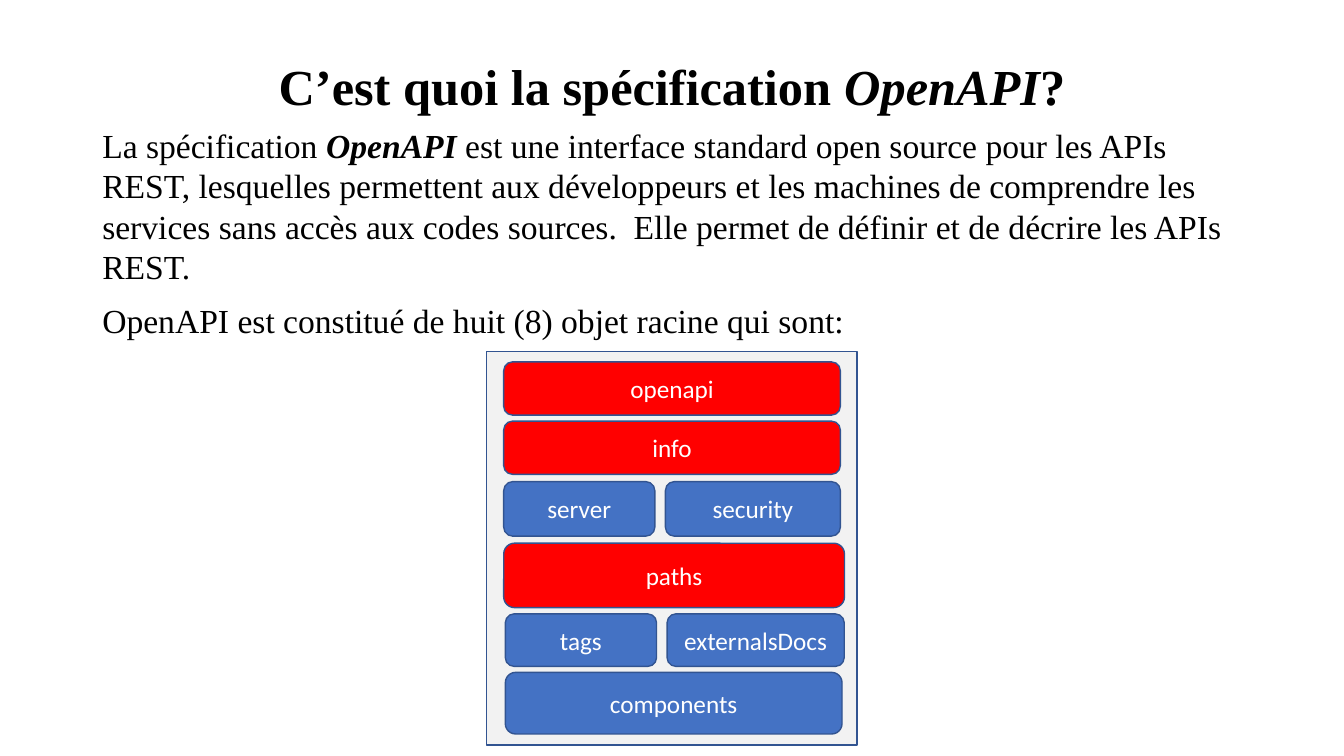
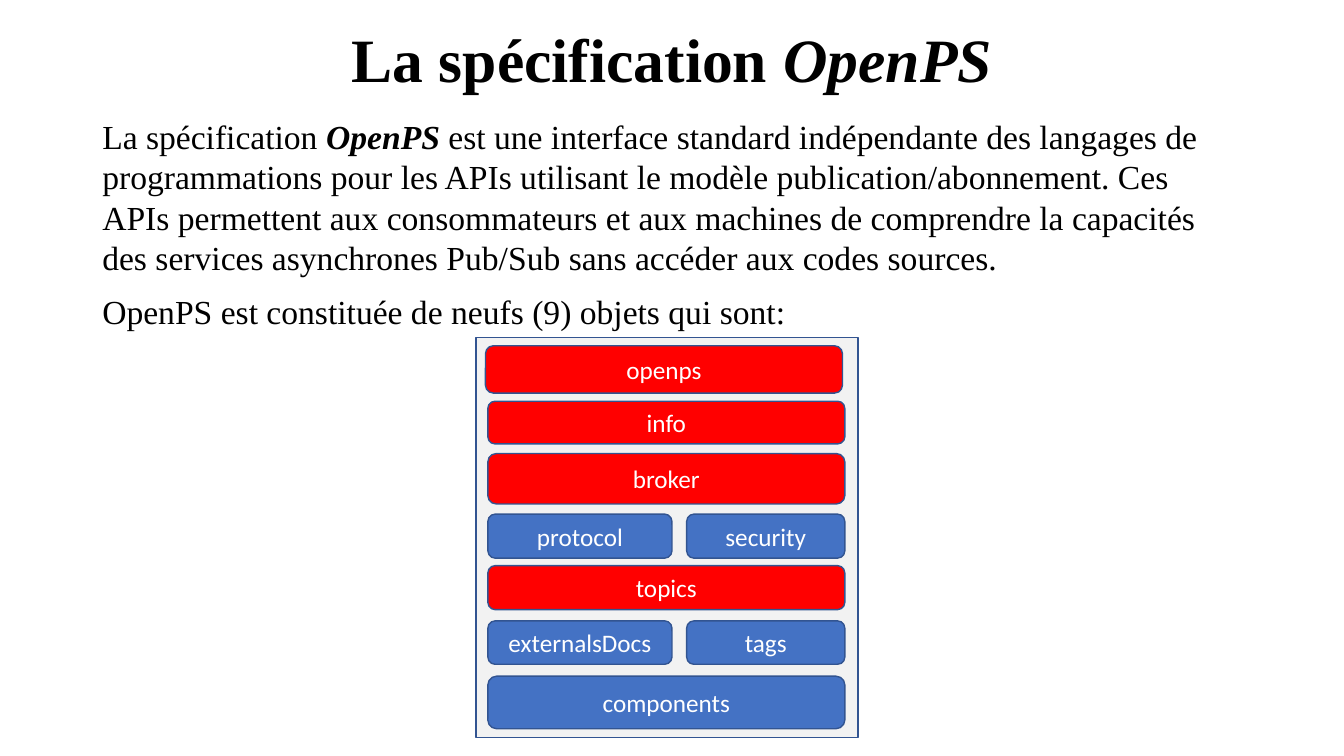
from dataclasses import dataclass
from typing import Optional

from pptx import Presentation
from pptx.dml import color
from pptx.enum import shapes, text
from pptx.util import Pt

COLOURS = {
    "ink": "000000",
    "label": "FFFFFF",
    "panel": "F2F2F2",
    "outline": "325491",
    "required": "FF0000",
    "optional": "4472C4",
}
SERIF, SANS = "Times New Roman", "Calibri"
MARGIN, CONTENT_WIDTH = 66, 828


@dataclass(frozen=True)
class Box:
    left: float
    top: float
    width: float
    height: float

    def lengths(self) -> tuple:
        return Pt(self.left), Pt(self.top), Pt(self.width), Pt(self.height)


@dataclass(frozen=True)
class Span:
    words: str
    emphasised: bool = False


@dataclass(frozen=True)
class Row:
    top: float
    height: float
    labels: tuple
    role: str = "optional"
    left: Optional[float] = None
    width: Optional[float] = None


@dataclass(frozen=True)
class Diagram:
    panel: Box
    left: float
    width: float
    first_width: float
    gap: float
    rows: tuple


@dataclass(frozen=True)
class Page:
    title: tuple
    title_box: Box
    title_size: int
    body: tuple
    body_box: Box
    diagram: Diagram


def rgb(name: str) -> color.RGBColor:
    return color.RGBColor.from_string(COLOURS[name])


def format_run(run, size: float, font: str, colour: str) -> None:
    run.font.size = Pt(size)
    run.font.name = font
    run.font.color.rgb = rgb(colour)


def write_spans(paragraph, spans: tuple, size: float, bold: bool = False) -> None:
    for span in spans:
        run = paragraph.add_run()
        run.text = span.words
        format_run(run, size, SERIF, "ink")
        run.font.bold = bold or span.emphasised
        run.font.italic = span.emphasised


def draw_title(slide, page: Page) -> None:
    title = slide.shapes.title
    title.left, title.top, title.width, title.height = page.title_box.lengths()
    frame = title.text_frame
    frame.auto_size = text.MSO_AUTO_SIZE.NONE
    frame.vertical_anchor = text.MSO_ANCHOR.MIDDLE
    paragraph = frame.paragraphs[0]
    paragraph.alignment = text.PP_ALIGN.CENTER
    paragraph.line_spacing = 0.9
    write_spans(paragraph, page.title, page.title_size, bold=True)


def draw_body(slide, page: Page) -> None:
    frame = slide.shapes.add_textbox(*page.body_box.lengths()).text_frame
    frame.word_wrap = True
    for index, spans in enumerate(page.body):
        paragraph = frame.add_paragraph() if index else frame.paragraphs[0]
        paragraph.space_before = Pt(10)
        paragraph.line_spacing = 1.0
        write_spans(paragraph, spans, 24)


def draw_block(slide, kind, box: Box, fill: str, label: str = "") -> None:
    shape = slide.shapes.add_shape(kind, *box.lengths())
    shape.shadow.inherit = False
    shape.fill.solid()
    shape.fill.fore_color.rgb = rgb(fill)
    shape.line.color.rgb = rgb("outline")
    shape.line.width = Pt(1)
    if label:
        frame = shape.text_frame
        frame.text = label
        frame.vertical_anchor = text.MSO_ANCHOR.MIDDLE
        paragraph = frame.paragraphs[0]
        paragraph.alignment = text.PP_ALIGN.CENTER
        format_run(paragraph.runs[0], 18, SANS, "label")


def draw_diagram(slide, diagram: Diagram) -> None:
    draw_block(slide, shapes.MSO_SHAPE.RECTANGLE, diagram.panel, "panel")
    for row in diagram.rows:
        left = row.left or diagram.left
        width = row.width or diagram.width
        widths = [width]
        if len(row.labels) == 2:
            first = diagram.first_width
            widths = [first, width - first - diagram.gap]
        for label, block_width in zip(row.labels, widths):
            box = Box(left, row.top, block_width, row.height)
            draw_block(slide, shapes.MSO_SHAPE.ROUNDED_RECTANGLE, box, row.role, label)
            left += block_width + diagram.gap


def draw_page(presentation, page: Page) -> None:
    slide = presentation.slides.add_slide(presentation.slide_layouts[5])
    draw_title(slide, page)
    draw_body(slide, page)
    draw_diagram(slide, page.diagram)


OPENAPI = Page(
    title=(Span("C’est quoi la spécification "), Span("OpenAPI", True), Span("?")),
    title_box=Box(MARGIN, 29.3, CONTENT_WIDTH, 69),
    title_size=36,
    body=(
        (
            Span("La spécification "),
            Span("OpenAPI", True),
            Span(
                " est une interface standard open source pour les APIs REST, "
                "lesquelles permettent aux développeurs et les machines de "
                "comprendre les services sans accès aux codes sources.  Elle "
                "permet de définir et de décrire les APIs REST."
            ),
        ),
        (Span("OpenAPI est constitué de huit (8) objet racine qui sont:"),),
    ),
    body_box=Box(MARGIN, 85.7, CONTENT_WIDTH, 454),
    diagram=Diagram(
        panel=Box(347.6, 251.3, 264.5, 280.8),
        left=359.8,
        width=240.5,
        first_width=108,
        gap=7.5,
        rows=(
            Row(258.5, 38, ("openapi",), "required"),
            Row(300.8, 38, ("info",), "required"),
            Row(344, 39, ("server", "security")),
            Row(388, 46, ("paths",), "required", width=243.4),
            Row(438.5, 37.5, ("tags", "externalsDocs"), left=361, width=242),
            Row(480.3, 44, ("components",), left=361),
        ),
    ),
)

OPENPS = Page(
    title=(Span("La spécification "), Span("OpenPS", True)),
    title_box=Box(MARGIN, 16.3, CONTENT_WIDTH, 57),
    title_size=44,
    body=(
        (
            Span("La spécification "),
            Span("OpenPS", True),
            Span(
                " est une interface standard indépendante des langages de "
                "programmations pour les APIs utilisant le modèle "
                "publication/abonnement. Ces APIs permettent aux consommateurs "
                "et aux machines de comprendre la capacités des services "
                "asynchrones Pub/Sub sans accéder aux codes sources."
            ),
        ),
        (Span("OpenPS est constituée de neufs (9) objets qui sont:"),),
    ),
    body_box=Box(MARGIN, 79.2, CONTENT_WIDTH, 432),
    diagram=Diagram(
        panel=Box(340, 241.2, 272.8, 285.8),
        left=348.5,
        width=255,
        first_width=131.5,
        gap=10.5,
        rows=(
            Row(247, 33.8, ("openps",), "required", left=346.8),
            Row(286.6, 30.5, ("info",), "required"),
            Row(324, 36, ("broker",), "required"),
            Row(367.2, 31.5, ("protocol", "security")),
            Row(404, 31.5, ("topics",), "required"),
            Row(443.5, 31, ("externalsDocs", "tags")),
            Row(483, 37.5, ("components",)),
        ),
    ),
)


def main() -> None:
    presentation = Presentation()
    presentation.slide_width, presentation.slide_height = Pt(960), Pt(540)
    for page in (OPENAPI, OPENPS):
        draw_page(presentation, page)
    presentation.save("out.pptx")


main()
